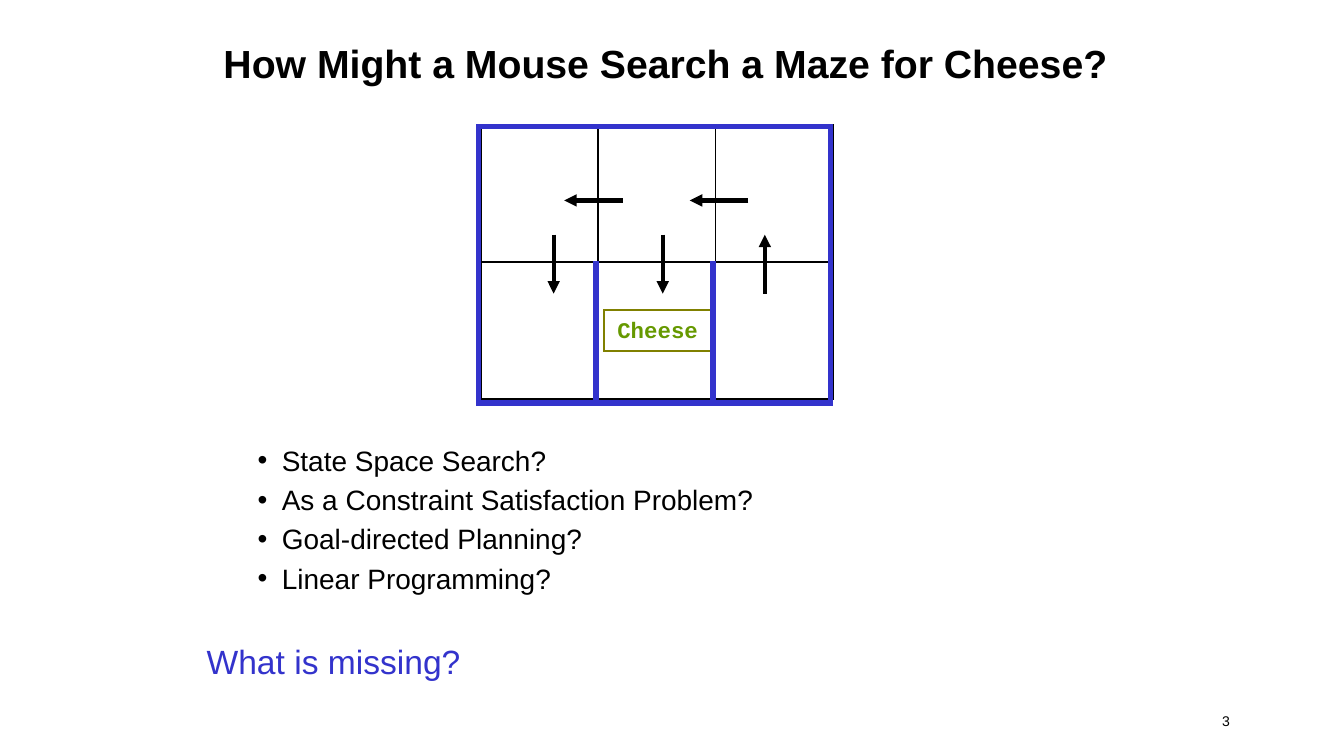
from lxml import etree
from pptx import Presentation
from pptx import util as u
from pptx.dml.color import RGBColor
from pptx.enum import shapes, text
from pptx.oxml.ns import qn

W = 10
H = W * 9 / 16
COLS, ROWS = 160, 90
BLACK, BLUE, OLIVE, GREEN = "000000", "3333CC", "808000", "669900"
QUESTIONS = ["State Space Search?", "As a Constraint Satisfaction Problem?",
             "Goal-directed Planning?", "Linear Programming?"]
MOVES = [(1.21, 0.55, 0.71, 0.55), (2.28, 0.55, 1.78, 0.55),
         (2.42, 1.23, 2.42, 0.8), (1.55, 0.8, 1.55, 1.23),
         (0.62, 0.8, 0.62, 1.23)]


def color(value):
    """Turn a hex string into a colour."""
    return RGBColor.from_string(value)


def grid(col, row, cols, rows):
    """Turn columns and rows of the slide grid into a box in inches."""
    return col * W / COLS, row * H / ROWS, cols * W / COLS, rows * H / ROWS


def place(sp, box):
    """Move a shape to a box in inches."""
    sp.left, sp.top, sp.width, sp.height = (u.Inches(v) for v in box)


def style(p, size, value, font="Arial", bold=False):
    """Format every run of a paragraph."""
    for r in p.runs:
        r.font.size, r.font.name, r.font.bold = u.Pt(size), font, bold
        r.font.color.rgb = color(value)


def indent(p, left, first, bullet=None):
    """Set the hanging indent of a paragraph and its bullet."""
    pPr = p._p.get_or_add_pPr()
    pPr.set("marL", str(u.Inches(left)))
    pPr.set("indent", str(u.Inches(first)))
    if bullet:
        clr = etree.SubElement(pPr, qn("a:buClr"))
        etree.SubElement(clr, qn("a:srgbClr"), val=BLACK)
        etree.SubElement(pPr, qn("a:buFont"), typeface="Arial")
        etree.SubElement(pPr, qn("a:buChar"), char=bullet)
    else:
        etree.SubElement(pPr, qn("a:buNone"))


def outline(s, box, value, width):
    """Draw an unfilled rectangle with sharp corners."""
    sp = s.shapes.add_shape(shapes.MSO_SHAPE.RECTANGLE, *(u.Inches(v) for v in box))
    sp.shadow.inherit = False
    sp.fill.background()
    sp.line.color.rgb, sp.line.width = color(value), u.Pt(width)
    etree.SubElement(sp.line._get_or_add_ln(), qn("a:miter"), lim="800000")
    return sp


def line(s, start, end, value, width, arrow=False):
    """Draw a straight line, with an arrowhead at its end if wanted."""
    sp = s.shapes.add_connector(shapes.MSO_CONNECTOR.STRAIGHT,
                                *(u.Inches(v) for v in (*start, *end)))
    sp.line.color.rgb, sp.line.width = color(value), u.Pt(width)
    if arrow:
        etree.SubElement(sp.line._get_or_add_ln(), qn("a:tailEnd"), type="triangle")
    etree.SubElement(sp._element.spPr, qn("a:effectLst"))


def title(s, box):
    """Fill the title placeholder."""
    sp = s.shapes.title
    place(sp, box)
    tf = sp.text_frame
    tf.text = "How Might a Mouse Search a Maze for Cheese?"
    tf.auto_size = text.MSO_AUTO_SIZE.NONE
    tf.vertical_anchor = text.MSO_ANCHOR.MIDDLE
    tf.paragraphs[0].alignment = text.PP_ALIGN.LEFT
    style(tf.paragraphs[0], 21, BLACK, bold=True)


def maze(s, box, cols=3, rows=2):
    """Draw the maze; its parts are placed in columns and rows."""
    left, top, width, height = box
    cw, rh = width / cols, height / rows

    def at(c, r):
        """Give the point at a column and row."""
        return left + c * cw, top + r * rh

    for c in range(cols):
        for r in range(rows):
            outline(s, (*at(c, r), cw, rh), BLACK, 1)
    for c1, r1, c2, r2 in MOVES:
        line(s, at(c1, r1), at(c2, r2), BLACK, 2.25, arrow=True)
    cheese(s, (*at(1.05, 1.35), 0.93 * cw, 0.3 * rh))
    outline(s, (*at(-0.02, 0.01), 3 * cw, 2.02 * rh), BLUE, 3)
    for c in (0.98, 1.98):
        line(s, at(c, 0.99), at(c, 2.03), BLUE, 3)


def cheese(s, box):
    """Draw the labelled goal box."""
    sp = outline(s, box, OLIVE, 0.75)
    tf = sp.text_frame
    tf.text = "Cheese"
    tf.word_wrap = False
    tf.vertical_anchor = text.MSO_ANCHOR.TOP
    tf.paragraphs[0].alignment = text.PP_ALIGN.LEFT
    style(tf.paragraphs[0], 12, GREEN, "Courier New", True)


def questions(s, box):
    """Fill the body placeholder with the list and the closing question."""
    sp = s.placeholders[1]
    place(sp, box)
    tf = sp.text_frame
    tf.text = "\n".join(QUESTIONS + ["What is missing?"])
    tf.auto_size = text.MSO_AUTO_SIZE.NONE
    *items, last = tf.paragraphs
    for i, p in enumerate(items):
        p.level = 1
        indent(p, 0.56, -0.18, "•")
        p.space_before = u.Pt(3 if i else 0)
        style(p, 15, BLACK)
    indent(last, 0.19, -0.19)
    last.space_before = u.Pt(24.5)
    style(last, 18, BLUE)


def page_number(s, box):
    """Write the page number at the right of its box."""
    sp = s.shapes.add_textbox(*(u.Inches(v) for v in box))
    tf = sp.text_frame
    tf.word_wrap = True
    tf.text = "3"
    tf.paragraphs[0].alignment = text.PP_ALIGN.RIGHT
    style(tf.paragraphs[0], 7.5, BLACK)


def main():
    """Build the slide and save it."""
    prs = Presentation()
    prs.slide_width, prs.slide_height = u.Inches(W), u.Inches(H)
    s = prs.slides.add_slide(prs.slide_layouts[1])
    page_number(s, grid(109.25, 84, 38.75, 4))
    title(s, grid(25, 2, 115, 11))
    questions(s, grid(23, 52, 108, 34))
    maze(s, grid(57.25, 14.9, 41.9, 32.6))
    prs.save("out.pptx")


if __name__ == "__main__":
    main()
